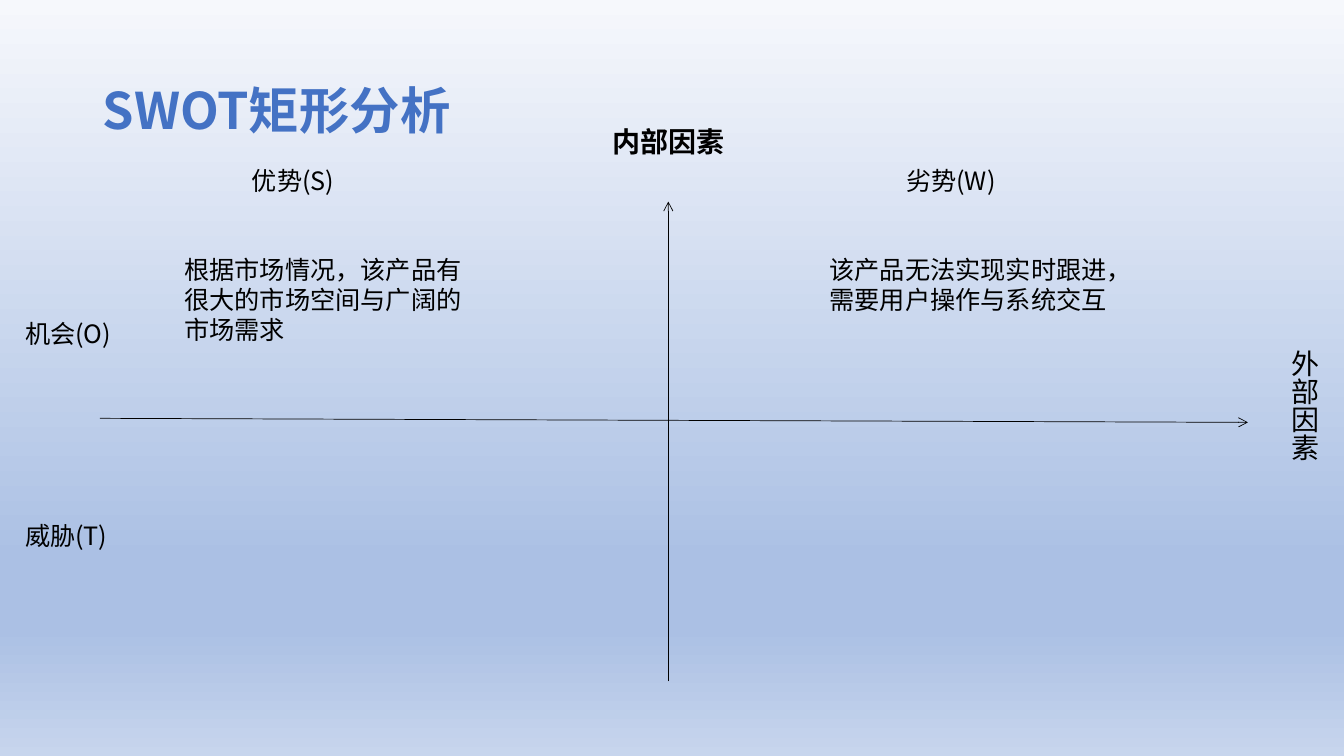
from lxml.etree import SubElement as Sub
from pptx import Presentation
from pptx.dml.color import RGBColor as Rgb
from pptx.enum.shapes import MSO_CONNECTOR as Conn
from pptx.enum.text import MSO_ANCHOR as Anchor, MSO_AUTO_SIZE as Auto, PP_ALIGN as Align
from pptx.oxml.ns import qn
from pptx.util import Pt

FONT = "Noto Sans CJK SC"
HUES = {"title": "4472C4", "ink": "000000", "pale": "F6F8FC", "deep": "ABC0E4", "end": "C7D5ED"}
STOPS = [(0, "pale"), (74, "deep"), (83, "deep"), (100, "end")]
TEXTS = [
    ("优势(S)", 172.8, 114.5, 219.6, 28.8),
    ("劣势(W)", 640.1, 114.5, 217.4, 28.8),
    ("机会(O)", 10.8, 223.9, 162, 28.8),
    ("威胁(T)", 10.8, 367.9, 120.2, 28.8),
    ("根据市场情况，该产品有很大的市场空间与广阔的市场需求", 124.6, 177.8, 220.3, 72.7),
    ("该产品无法实现实时跟进，需要用户操作与系统交互", 585.4, 177.8, 214.6, 51.1),
]


def paint(slide):
    """Fill the background with a vertical gradient."""
    fill = slide.background.fill
    fill.gradient()
    fill.gradient_angle = 270
    stops = slide.element.find(".//" + qn("a:gsLst"))
    for old in list(stops):
        stops.remove(old)
    for place, hue in STOPS:
        stop = Sub(stops, qn("a:gs"), pos=str(place * 1000))
        Sub(stop, qn("a:srgbClr"), val=HUES[hue])


def write(para, text, size, hue="ink", bold=False):
    """Add one formatted run to a paragraph."""
    run = para.add_run()
    run.text = text
    font = run.font
    font.size, font.bold, font.name = Pt(size), bold, FONT
    font.color.rgb = Rgb.from_string(HUES[hue])
    font._element.find(qn("a:latin")).addnext(
        font._element.makeelement(qn("a:ea"), {"typeface": FONT}))


def head(slide, text, left, top, width, height):
    """Place and format the title."""
    shape = slide.shapes.title
    shape.left, shape.top, shape.width, shape.height = map(Pt, (left, top, width, height))
    frame = shape.text_frame
    frame.auto_size = Auto.NONE
    frame.vertical_anchor = Anchor.MIDDLE
    para = frame.paragraphs[0]
    para.alignment, para.line_spacing = Align.LEFT, 0.9
    write(para, text, 36, "title", True)


def label(slide, text, left, top, width, height, size=18, bold=False, align=Align.LEFT, turn=None):
    """Add a wrapped text box, vertical if a direction is given."""
    frame = slide.shapes.add_textbox(*map(Pt, (left, top, width, height))).text_frame
    frame.word_wrap = True
    frame.auto_size = Auto.SHAPE_TO_FIT_TEXT
    if turn:
        frame._txBody.bodyPr.set("vert", turn)
    para = frame.paragraphs[0]
    para.alignment = align
    write(para, text, size, bold=bold)


def axis(slide, *ends):
    """Draw a thin axis with an open arrowhead at its far end."""
    line = slide.shapes.add_connector(Conn.STRAIGHT, *map(Pt, ends))
    line.line.width = Pt(0.5)
    line.line.color.rgb = Rgb.from_string(HUES["ink"])
    Sub(line.line._get_or_add_ln(), qn("a:tailEnd"), type="arrow")
    Sub(line._element.spPr, qn("a:effectLst"))


def main():
    """Build and save the SWOT slide."""
    deck = Presentation()
    deck.slide_width, deck.slide_height = Pt(960), Pt(540)
    slide = deck.slides.add_slide(deck.slide_layouts[5])
    paint(slide)
    head(slide, "SWOT矩形分析", 66.2, 28.8, 828, 104.4)
    axis(slide, 71.3, 298.8, 891.4, 301.7)
    axis(slide, 477.4, 486.7, 477.4, 144)
    for item in TEXTS:
        label(slide, *item)
    label(slide, "内部因素", 370.1, 85.7, 215.3, 31.7, 20, True, Align.CENTER)
    label(slide, "外部因素", 908.6, 242.6, 38.9, 116.6, 20, align=Align.CENTER, turn="eaVert")
    deck.save("out.pptx")


if __name__ == "__main__":
    main()
